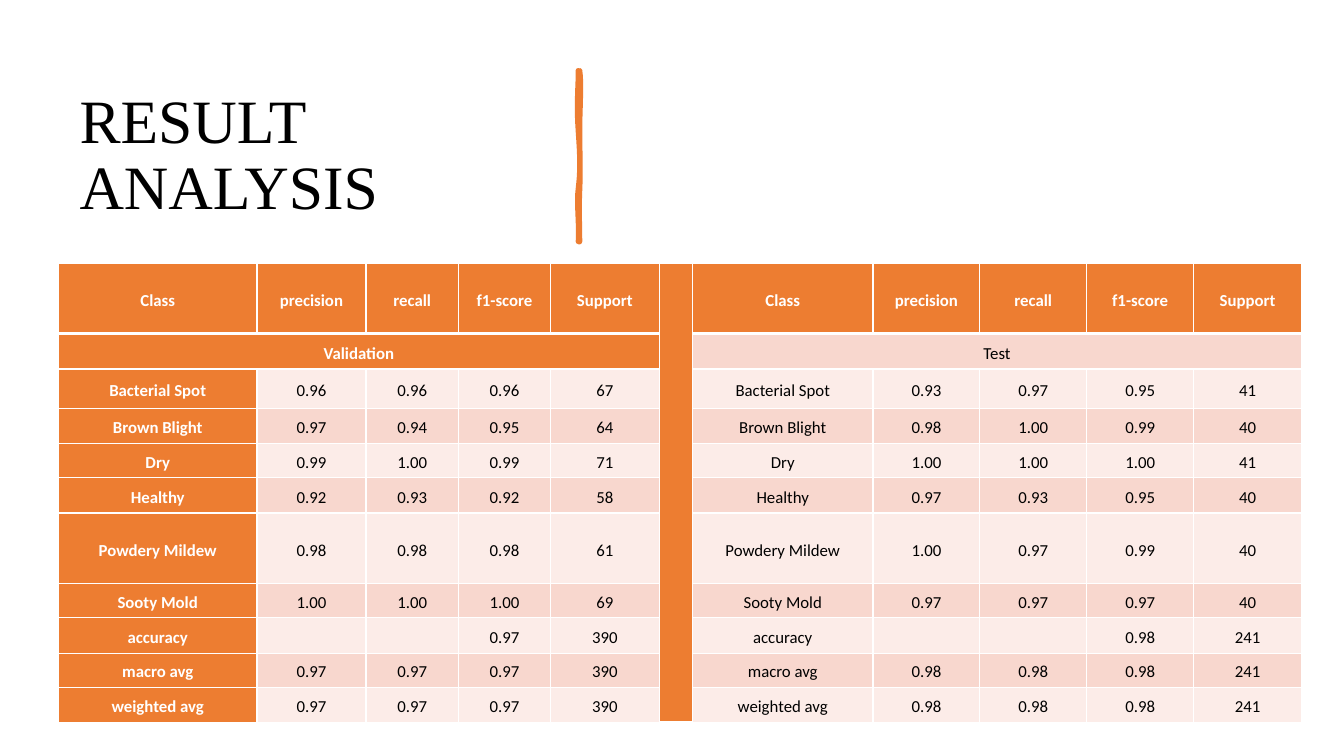
from lxml import etree
from pptx import Presentation
from pptx.dml.color import RGBColor
from pptx.enum import text
from pptx.oxml import ns
from pptx.util import Inches, Pt

ORANGE = RGBColor(0xED, 0x7D, 0x31)
ROSE = RGBColor(0xF8, 0xD7, 0xCE)
PALE_ROSE = RGBColor(0xFC, 0xEC, 0xE8)
WHITE = RGBColor(0xFF, 0xFF, 0xFF)
BLACK = RGBColor(0, 0, 0)

COLUMN_WIDTHS = [1.97, 1.08, 0.92, 0.91, 1.08, 0.33, 1.79, 1.06, 1.06, 1.06, 1.07]
ROW_HEIGHTS = [0.7, 0.35, 0.39, 0.35, 0.34, 0.35, 0.7, 0.34, 0.35, 0.34, 0.35]
DIVIDER = 5  # column between the two result sets
TEST_START = DIVIDER + 1

HEADINGS = ["Class", "precision", "recall", "f1-score", "Support"]
SCORES = [  # class, validation results, test results
    ("Bacterial Spot", "0.96 0.96 0.96 67", "0.93 0.97 0.95 41"),
    ("Brown Blight", "0.97 0.94 0.95 64", "0.98 1.00 0.99 40"),
    ("Dry", "0.99 1.00 0.99 71", "1.00 1.00 1.00 41"),
    ("Healthy", "0.92 0.93 0.92 58", "0.97 0.93 0.95 40"),
    ("Powdery Mildew", "0.98 0.98 0.98 61", "1.00 0.97 0.99 40"),
    ("Sooty Mold", "1.00 1.00 1.00 69", "0.97 0.97 0.97 40"),
    ("accuracy", "0.97 390", "0.98 241"),
    ("macro avg", "0.97 0.97 0.97 390", "0.98 0.98 0.98 241"),
    ("weighted avg", "0.97 0.97 0.97 390", "0.98 0.98 0.98 241"),
]

# Bezier segments of the brush stroke: two control points and an end point
STROKE_CENTER = (5.74, 1.55)
STROKE_START = (5.75, 0.7)
STROKE_CURVES = [
    ((5.77, 0.83), (5.75, 1.08), (5.75, 1.31)),
    ((5.75, 1.53), (5.76, 1.65), (5.75, 1.89)),
    ((5.74, 2.13), (5.75, 2.2), (5.75, 2.4)),
    ((5.74, 2.41), (5.74, 2.4), (5.73, 2.4)),
    ((5.74, 2.17), (5.71, 2.03), (5.73, 1.87)),
    ((5.75, 1.71), (5.75, 1.58), (5.73, 1.31)),
    ((5.71, 1.03), (5.73, 0.88), (5.73, 0.7)),
    ((5.74, 0.7), (5.74, 0.71), (5.75, 0.7)),
]


def write(frame, content, *, size, font, color, bold=False,
          align=text.PP_ALIGN.LEFT, spacing=1.0):
    paragraph = frame.paragraphs[0]
    paragraph.alignment = align
    paragraph.line_spacing = spacing
    run = paragraph.add_run()
    run.text = content
    run.font.size = Pt(size)
    run.font.name = font
    run.font.bold = bold
    run.font.color.rgb = color


def add_title(slide):
    title = slide.shapes.add_textbox(Inches(0.69), Inches(0.5), Inches(5.12), Inches(2.11))
    frame = title.text_frame
    frame.word_wrap = True
    frame.vertical_anchor = text.MSO_ANCHOR.MIDDLE
    write(frame, "RESULT ANALYSIS", size=44, font="Times New Roman", color=BLACK, spacing=0.9)


def curve_points(start, curves, steps=8):
    points = [start]
    for c1, c2, end in curves:
        for t in (step / steps for step in range(1, steps + 1)):
            s = 1 - t
            points.append(tuple(
                s**3 * a + 3 * s * s * t * b + 3 * s * t * t * c + t**3 * d
                for a, b, c, d in zip(start, c1, c2, end)))
        start = end
    return points


def lay_flat(point):
    """Turn a point a quarter left about the stroke's centre, in EMU."""
    (x, y), (center_x, center_y) = point, STROKE_CENTER
    return Inches(center_x + y - center_y), Inches(center_y - x + center_x)


def add_brush_stroke(slide):
    # Drawn lying down, then stood up by its rotation
    first, *others = map(lay_flat, curve_points(STROKE_START, STROKE_CURVES))
    builder = slide.shapes.build_freeform(*first)
    builder.add_line_segments(others, close=True)
    stroke = builder.convert_to_shape()
    stroke.rotation = 90
    stroke.shadow.inherit = False
    stroke.fill.solid()
    stroke.fill.fore_color.rgb = ORANGE
    stroke.line.color.rgb = ORANGE
    stroke.line.width = Pt(3.25)


def add_border(cell, side, width):
    line = etree.SubElement(cell._tc.get_or_add_tcPr(), ns.qn(f"a:ln{side}"), w=str(Pt(width)))
    fill = etree.SubElement(line, ns.qn("a:solidFill"))
    etree.SubElement(fill, ns.qn("a:srgbClr"), val=str(WHITE))


def style_cell(cell, row, color):
    cell.margin_left = cell.margin_right = cell.margin_bottom = 0
    cell.margin_top = Inches(0.01)
    cell.vertical_anchor = text.MSO_ANCHOR.MIDDLE
    for side in "LRTB":
        under_header = (row, side) in ((0, "B"), (1, "T"))
        add_border(cell, side, 3 if under_header else 1)
    cell.fill.solid()
    cell.fill.fore_color.rgb = color


def table_rows():
    """Cell texts of all rows, with an empty divider cell in the middle."""
    rows = [HEADINGS + [""] + HEADINGS,
            ["Validation"] + [""] * DIVIDER + ["Test"] + [""] * 4]
    for name, *results in SCORES:
        validation, test = (
            [name] + [""] * (4 - len(values)) + values
            for values in (result.split() for result in results))
        rows.append(validation + [""] + test)
    return rows


def add_results(slide):
    table = slide.shapes.add_table(
        len(ROW_HEIGHTS), len(COLUMN_WIDTHS), Inches(0.58), Inches(2.61),
        Inches(sum(COLUMN_WIDTHS)), Inches(sum(ROW_HEIGHTS))).table
    table.first_row = table.horz_banding = False
    for column, width in zip(table.columns, COLUMN_WIDTHS):
        column.width = Inches(width)
    for row, height in zip(table.rows, ROW_HEIGHTS):
        row.height = Inches(height)

    for r, values in enumerate(table_rows()):
        for c, value in enumerate(values):
            accent = r == 0 or c in (0, DIVIDER) or (r == 1 and c < DIVIDER)
            band = ROSE if r % 2 else PALE_ROSE
            cell = table.cell(r, c)
            style_cell(cell, r, ORANGE if accent else band)
            if value:
                write(cell.text_frame, value, size=12, font="Calibri", bold=accent,
                      color=WHITE if accent else BLACK,
                      align=text.PP_ALIGN.CENTER, spacing=1.15)

    # Divider column and the two set names
    table.cell(0, DIVIDER).merge(table.cell(len(ROW_HEIGHTS) - 1, DIVIDER))
    for first in (0, TEST_START):
        table.cell(1, first).merge(table.cell(1, first + len(HEADINGS) - 1))


def main():
    deck = Presentation()
    deck.slide_width, deck.slide_height = Inches(13.33), Inches(7.5)
    slide = deck.slides.add_slide(deck.slide_layouts[6])
    add_title(slide)
    add_brush_stroke(slide)
    add_results(slide)
    deck.save("out.pptx")


if __name__ == "__main__":
    main()
